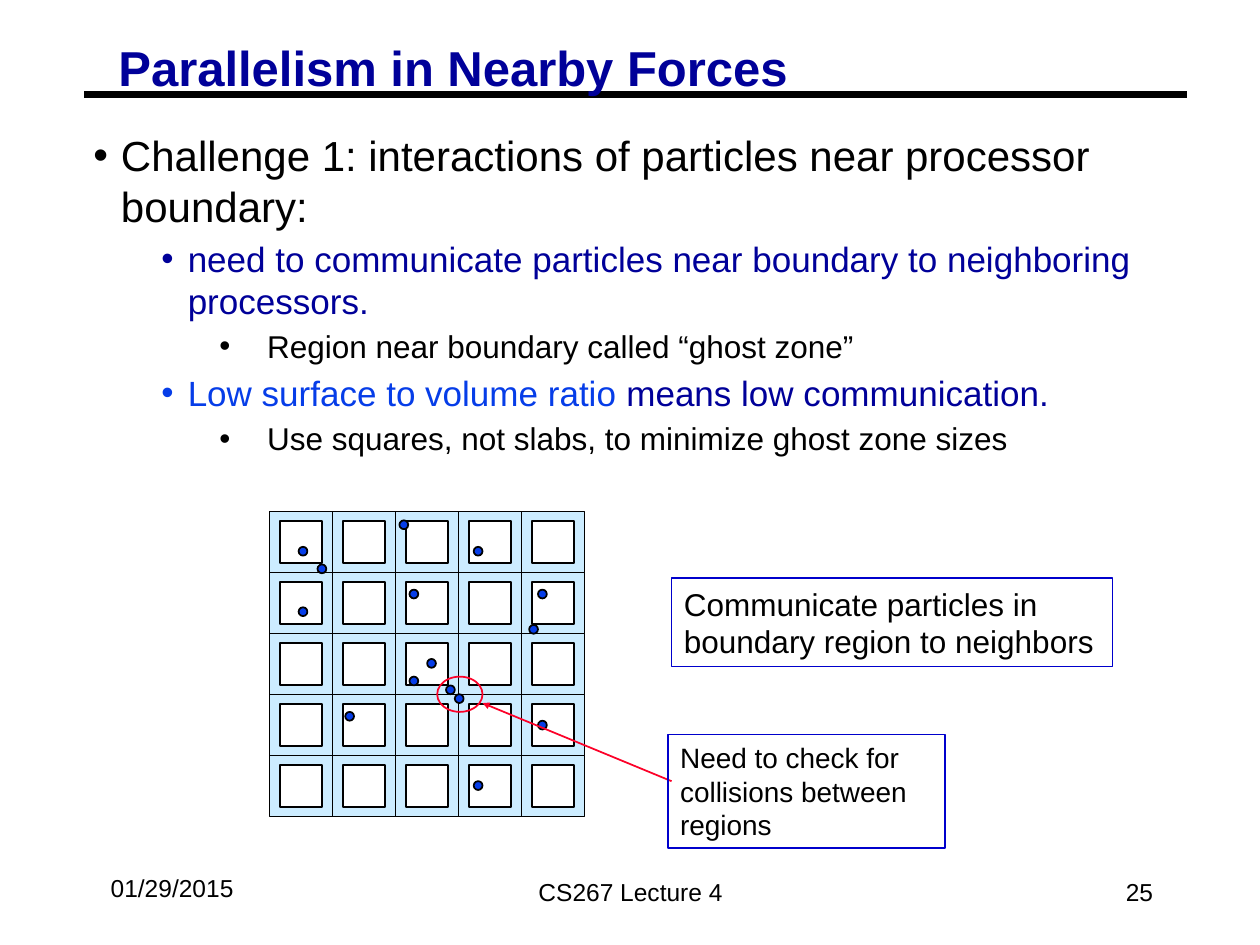
import dataclasses
import itertools

import lxml.etree
import pptx
import pptx.dml.color
import pptx.enum.shapes
import pptx.enum.text
import pptx.oxml.ns
import pptx.util

Inches = pptx.util.Inches
Pt = pptx.util.Pt
RGB = pptx.dml.color.RGBColor.from_string
KIND = pptx.enum.shapes.MSO_SHAPE
ALIGN = pptx.enum.text.PP_ALIGN
ANCHOR = pptx.enum.text.MSO_ANCHOR


@dataclasses.dataclass(frozen=True)
class Theme:
    font: str = "Arial"
    black: str = "000000"
    white: str = "FFFFFF"
    navy: str = "000099"
    blue: str = "063DE8"
    frame: str = "0000CC"
    ghost: str = "CCECFF"
    red: str = "FC0128"
    title: int = 28
    foot: int = 14
    hint: int = 18
    note: int = 16
    # size, left margin, indent, space before, for each bullet level
    levels: tuple = ((24, 0.22, -0.22, 0), (20, 0.75, -0.21, 3.7),
                     (18, 1.38, -0.38, 3.4))


THEME = Theme()
DOT = 0.07

BULLETS = [
    (0, [("Challenge 1: interactions of particles near processor boundary:",
          THEME.black)]),
    (1, [("need to communicate particles near boundary to neighboring processors.",
          THEME.navy)]),
    (2, [("Region near boundary called “ghost zone”", THEME.black)]),
    (1, [("Low surface to volume ratio ", THEME.blue),
         ("means low communication.", THEME.navy)]),
    (2, [("Use squares, not slabs, to minimize ghost zone sizes", THEME.black)]),
]

# Particle offsets from the corner of the grid
DOTS = [(0.23, 0.28), (0.38, 0.42), (0.23, 0.76), (1.11, 1.31), (1.03, 0.07),
        (1.25, 1.17), (0.6, 1.59), (1.4, 1.38), (2.06, 0.9), (1.47, 1.45),
        (1.62, 0.28), (1.62, 2.14), (2.13, 1.66), (2.13, 0.62), (1.11, 0.62)]


def style(font, size, color, bold=False):
    font.name = THEME.font
    font.size = Pt(size)
    font.bold = bold
    font.color.rgb = RGB(color)


def fit(frame, pad, wrap=True):
    """Set the insets (side, top) and the wrapping of a text frame."""
    side, top = map(Inches, pad)
    frame.margin_left = frame.margin_right = side
    frame.margin_top = frame.margin_bottom = top
    frame.word_wrap = wrap


def add_form(shapes, kind, box, line, fill=None):
    form = shapes.add_shape(kind, *map(Inches, box))
    form.shadow.inherit = False
    if fill:
        form.fill.solid()
        form.fill.fore_color.rgb = RGB(fill)
    else:
        form.fill.background()
    form.line.color.rgb = RGB(line)
    form.line.width = Pt(1)
    return form


def add_line(slide, start, end, color, width, arrow=False):
    line = slide.shapes.add_connector(
        pptx.enum.shapes.MSO_CONNECTOR.STRAIGHT, *map(Inches, start + end))
    line.line.color.rgb = RGB(color)
    line.line.width = Pt(width)
    props = line.element.spPr
    lxml.etree.SubElement(props, pptx.oxml.ns.qn("a:effectLst"))
    if arrow:
        stroke = props.find(pptx.oxml.ns.qn("a:ln"))
        lxml.etree.SubElement(stroke, pptx.oxml.ns.qn("a:tailEnd"),
                              type="triangle", w="sm", len="sm")


def add_label(slide, box, text, align=ALIGN.LEFT, anchor=ANCHOR.MIDDLE):
    frame = slide.shapes.add_textbox(*map(Inches, box)).text_frame
    fit(frame, (0.1, 0.05), wrap=False)
    frame.vertical_anchor = anchor
    para = frame.paragraphs[0]
    para.text = text
    para.alignment = align
    style(para.font, THEME.foot, THEME.black)


def add_foot(slide, box):
    left, top, width, height = box
    add_label(slide, (left, top + 0.05, 1.25, 0.34), "01/29/2015",
              anchor=ANCHOR.TOP)
    add_label(slide, (left + 2.64, top, 3.17, height), "CS267 Lecture 4",
              ALIGN.CENTER)
    add_label(slide, (left + width - 2.08, top, 2.08, height), "25",
              ALIGN.RIGHT)


def add_title(slide, box):
    left, top, width, height = box
    add_line(slide, (left, top + 0.42), (left + width, top + 0.42),
             THEME.black, 3.75)
    frame = slide.shapes.add_textbox(
        *map(Inches, (left + 0.2, top, 7.38, height))).text_frame
    fit(frame, (0.07, 0.03))
    para = frame.paragraphs[0]
    para.text = "Parallelism in Nearby Forces"
    para.line_spacing = 0.87
    style(para.font, THEME.title, THEME.navy, bold=True)


def add_mark(para, left, indent, color):
    """Give a paragraph a hanging round bullet."""
    props = para._p.get_or_add_pPr()
    props.set("marL", str(Inches(left)))
    props.set("indent", str(Inches(indent)))
    tint = lxml.etree.SubElement(props, pptx.oxml.ns.qn("a:buClr"))
    lxml.etree.SubElement(tint, pptx.oxml.ns.qn("a:srgbClr"), val=color)
    lxml.etree.SubElement(props, pptx.oxml.ns.qn("a:buFont"),
                          typeface=THEME.font)
    lxml.etree.SubElement(props, pptx.oxml.ns.qn("a:buChar"), char="•")


def add_body(slide, box):
    frame = slide.shapes.add_textbox(*map(Inches, box)).text_frame
    fit(frame, (0.07, 0.03))
    for index, (level, runs) in enumerate(BULLETS):
        para = frame.add_paragraph() if index else frame.paragraphs[0]
        size, left, indent, before = THEME.levels[level]
        para.level = level
        add_mark(para, left, indent, runs[0][1])
        para.space_before = Pt(before)
        style(para.font, size, runs[0][1])
        for text, color in runs:
            run = para.add_run()
            run.text = text
            if len(runs) > 1:
                run.font.color.rgb = RGB(color)


def add_grid(slide, box, count=5, core=0.33):
    """Draw processor cells, each with a ghost zone round its core."""
    left, top, width, height = box
    wide, high = width / count, height / count
    group = slide.shapes.add_group_shape()
    for col, row in itertools.product(range(count), repeat=2):
        x, y = left + col * wide, top + row * high
        add_form(group.shapes, KIND.RECTANGLE, (x, y, wide, high),
                 THEME.black, THEME.ghost)
        inner = (x + (wide - core) / 2, y + (high - core) / 2, core, core)
        add_form(group.shapes, KIND.RECTANGLE, inner, THEME.black, THEME.white)
    for x, y in DOTS:
        add_form(slide.shapes, KIND.OVAL, (left + x, top + y, DOT, DOT),
                 THEME.black, THEME.blue)
    add_form(slide.shapes, KIND.OVAL, (left + 1.33, top + 1.31, 0.36, 0.28),
             THEME.red)


def add_note(slide, box, text, size):
    form = add_form(slide.shapes, KIND.RECTANGLE, box, THEME.frame)
    frame = form.text_frame
    fit(frame, (0.1, 0.05))
    frame.vertical_anchor = ANCHOR.TOP
    para = frame.paragraphs[0]
    para.text = text
    para.alignment = ALIGN.LEFT
    style(para.font, size, THEME.black)


def main():
    deck = pptx.Presentation()
    deck.slide_width, deck.slide_height = Inches(10), Inches(7.5)
    slide = deck.slides.add_slide(deck.slide_layouts[6])
    add_foot(slide, (0.78, 6.83, 8.47, 0.5))
    add_title(slide, (0.67, 0.33, 8.75, 0.46))
    add_body(slide, (0.67, 1, 8.75, 2.71))
    add_grid(slide, (2.14, 4.06, 2.5, 2.42))
    add_note(slide, (5.33, 4.59, 3.5, 0.7),
             "Communicate particles in boundary region to neighbors", THEME.hint)
    add_line(slide, (5.33, 6.2), (3.83, 5.58), THEME.red, 1, arrow=True)
    add_note(slide, (5.3, 5.83, 2.2, 0.9),
             "Need to check for collisions between regions", THEME.note)
    deck.save("out.pptx")


if __name__ == "__main__":
    main()
